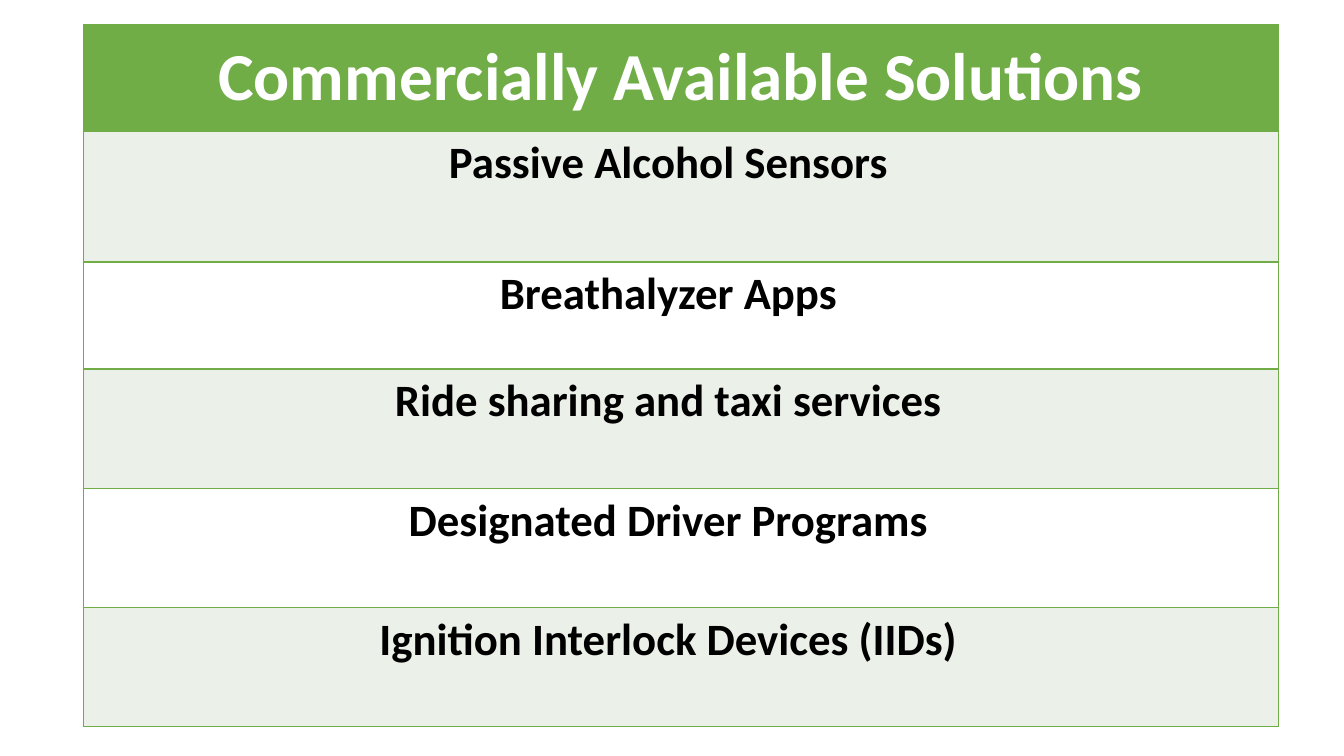
from lxml import etree
from pptx import Presentation
from pptx.dml.color import RGBColor
from pptx.enum.text import MSO_ANCHOR, PP_ALIGN
from pptx.oxml.ns import qn
from pptx.util import Inches, Pt

CENTER = PP_ALIGN.CENTER
TOP, MIDDLE = MSO_ANCHOR.TOP, MSO_ANCHOR.MIDDLE
GREEN, PALE, WHITE, BLACK = "70AD47", "EBF1E9", "FFFFFF", "000000"

HEADING = "Commercially Available Solutions"
SOLUTIONS = [
    "Passive Alcohol Sensors",
    "Breathalyzer Apps",
    "Ride sharing and taxi services",
    "Designated Driver Programs",
    "Ignition Interlock Devices (IIDs)",
]
COLUMN_WIDTHS = [11.6, 0.25]
ROW_HEIGHTS = [1.06, 1.3, 1.06, 1.19, 1.18, 1.18]


def set_borders(cell, visible_sides):
    """Draw thin green lines on the given sides (of L, R, T, B) and hide the rest."""
    properties = cell._tc.get_or_add_tcPr()
    for position, side in enumerate("LRTB"):
        line = etree.Element(qn(f"a:ln{side}"), w=str(Pt(1)))
        if side in visible_sides:
            fill = etree.SubElement(line, qn("a:solidFill"))
            etree.SubElement(fill, qn("a:srgbClr"), val=GREEN)
        else:
            etree.SubElement(line, qn("a:noFill"))
        properties.insert(position, line)


def write_cell(cell, text, size, color, anchor):
    cell.vertical_anchor = anchor
    para = cell.text_frame.paragraphs[0]
    para.alignment = CENTER
    span = para.add_run()
    span.text = text
    for name, value in {"name": "Calibri", "size": Pt(size), "bold": True}.items():
        setattr(span.font, name, value)
    span.font.color.rgb = RGBColor.from_string(color)


deck = Presentation()
deck.slide_width, deck.slide_height = Inches(13.33), Inches(7.5)
page = deck.slides.add_slide(deck.slide_layouts[6])

table = page.shapes.add_table(
    len(ROW_HEIGHTS), len(COLUMN_WIDTHS), Inches(0.83), Inches(0.24),
    Inches(sum(COLUMN_WIDTHS)), Inches(sum(ROW_HEIGHTS)),
).table
for column, width in zip(table.columns, COLUMN_WIDTHS):
    column.width = Inches(width)

for number, (row, height) in enumerate(zip(table.rows, ROW_HEIGHTS)):
    row.height = Inches(height)
    row_fill = GREEN if number == 0 else PALE if number % 2 else WHITE
    for cell, sides in zip(row.cells, ("LTB", "RTB")):
        cell.fill.solid()
        cell.fill.fore_color.rgb = RGBColor.from_string(row_fill)
        set_borders(cell, "LRTB" if number == 0 else sides)

table.cell(0, 0).merge(table.cell(0, 1))
write_cell(table.cell(0, 0), HEADING, 48, WHITE, MIDDLE)
for number, solution in enumerate(SOLUTIONS, start=1):
    write_cell(table.cell(number, 0), solution, 32, BLACK, TOP)

deck.save("out.pptx")
